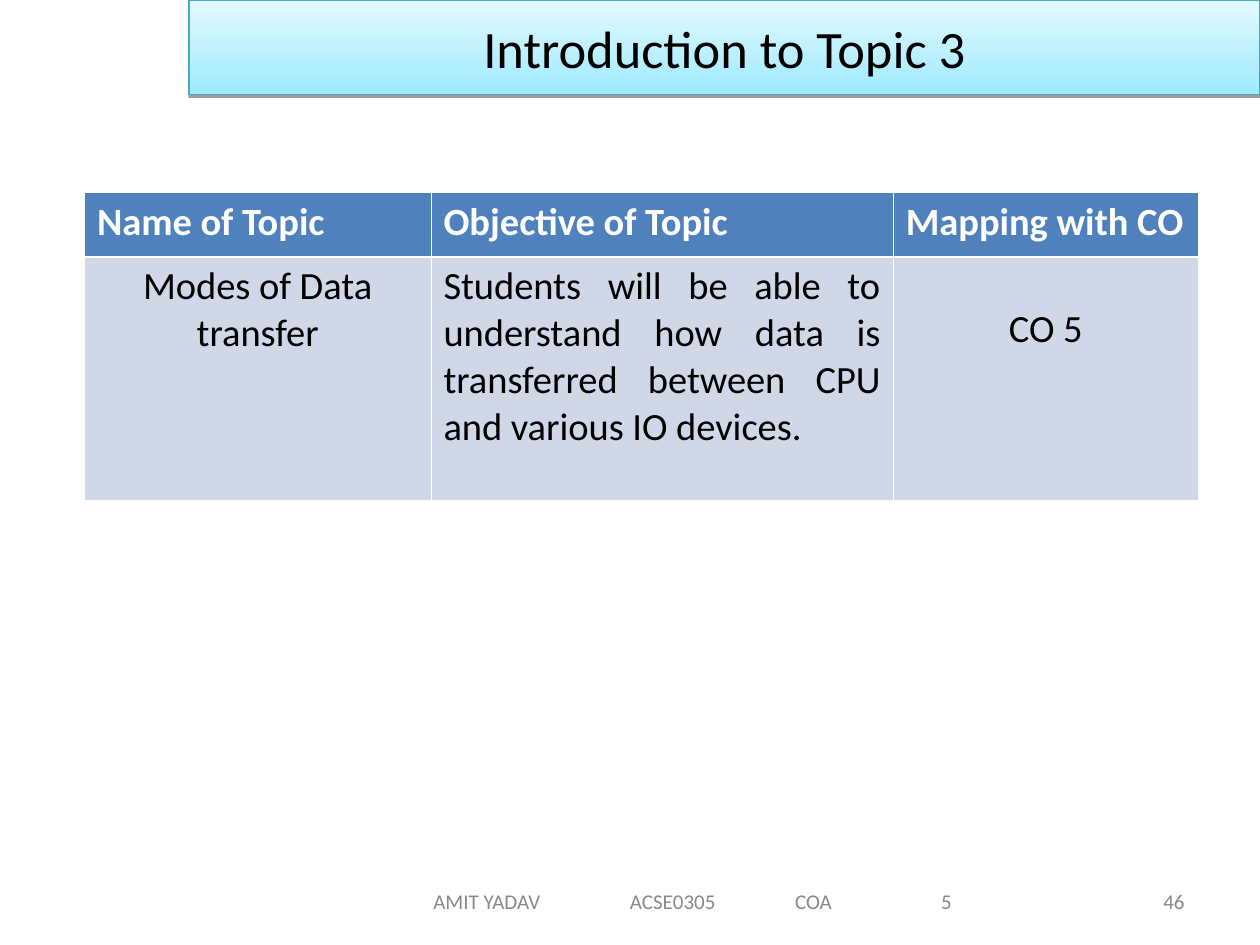
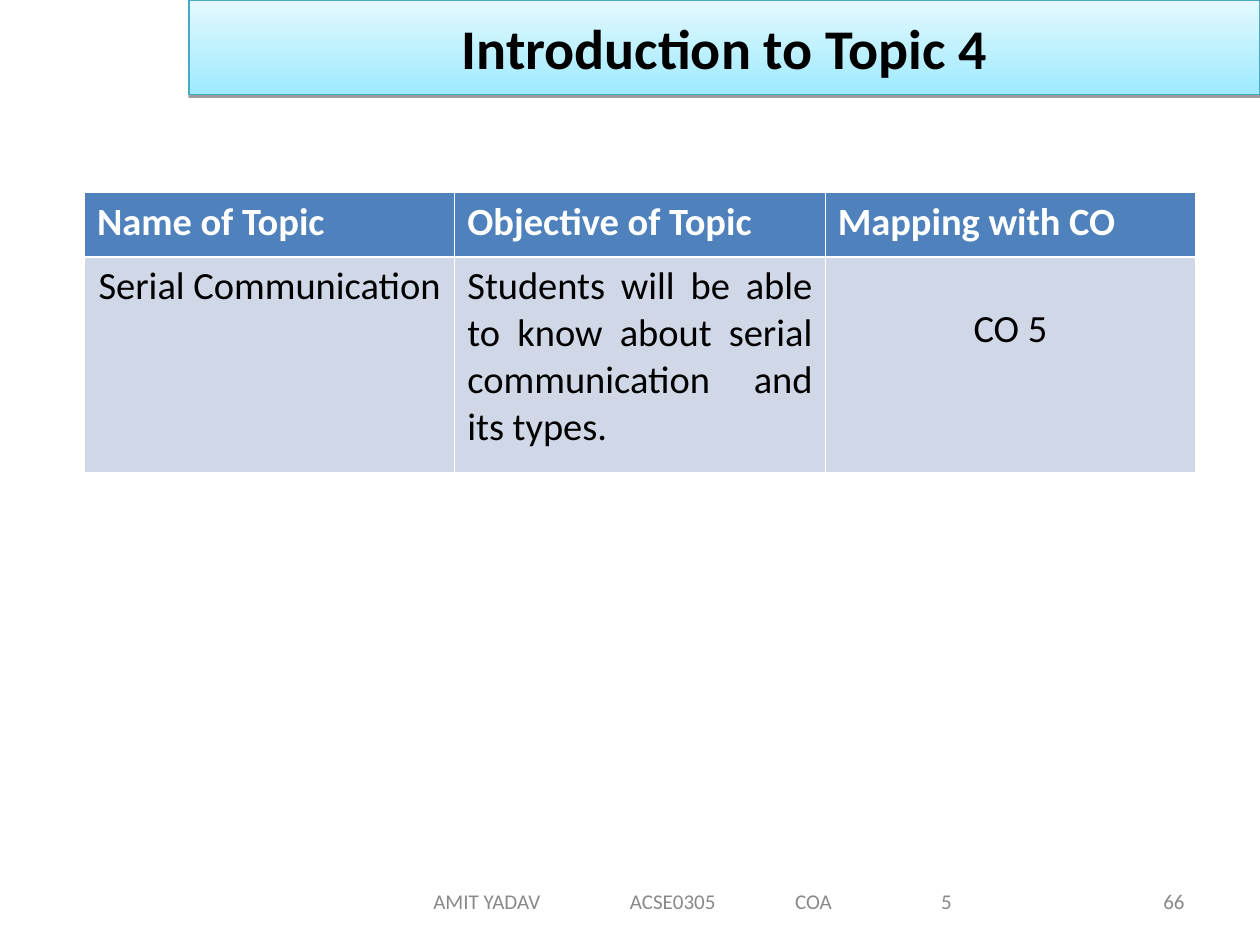
"""Build the two topic introduction slides of a course deck."""
from lxml import etree
from pptx import Presentation
from pptx import util as u
from pptx.dml.color import RGBColor
from pptx.enum import text as t
from pptx.oxml import ns

BLACK, WHITE, GREY = "000000", "FFFFFF", "898989"
HEADER_FILL, BODY_FILL = "4F81BD", "D0D8E8"
BAND_BOTTOM, BAND_TOP, BAND_LINE = "9EEAFF", "E4F9FF", "46AAC5"
LEFT, CENTER, RIGHT, JUSTIFY = (
    t.PP_ALIGN.LEFT, t.PP_ALIGN.CENTER, t.PP_ALIGN.RIGHT, t.PP_ALIGN.JUSTIFY)
HEADERS = ["Name of Topic", "Objective of Topic", "Mapping with CO"]
FOOTER = "AMIT YADAV\tACSE0305\tCOA\t5"
FOOTER_TABS = [1.56, 2.87, 4.03]
TOPICS = [
    dict(title="Introduction to Topic 3", size=30, bold=False, number="46",
         widths=[2.75, 3.67, 2.42], height=1.93,
         cells=["Modes of Data transfer",
                "Students will be able to understand how data is transferred "
                "between CPU and various IO devices.", "CO 5"]),
    dict(title="Introduction to Topic 4", size=32, bold=True, number="66",
         widths=[2.94] * 3, height=1.71,
         cells=["Serial Communication",
                "Students will be able to know about serial communication "
                "and its types.", "CO 5"]),
]


def color(value):
    return RGBColor.from_string(value)


def write(frame, text, size=22, hue=BLACK, bold=False, align=LEFT, tabs=()):
    frame.word_wrap = True
    para = frame.paragraphs[0]
    para.alignment = align
    if tabs:
        stops = etree.SubElement(para._p.get_or_add_pPr(), ns.qn("a:tabLst"))
        for place in tabs:
            etree.SubElement(stops, ns.qn("a:tab"), pos=str(u.Inches(place)), algn="l")
    span = para.add_run()
    span.text = text
    span.font.name = "Calibri"
    span.font.size = u.Pt(size)
    span.font.bold = bold
    span.font.color.rgb = color(hue)


deck = Presentation()
deck.slide_width, deck.slide_height = u.Inches(10), u.Inches(7.5)

for topic in TOPICS:
    page = deck.slides.add_slide(deck.slide_layouts[5])

    band = page.shapes.title
    band.left, band.top = u.Inches(1.5), u.Inches(0)
    band.width, band.height = u.Inches(8.5), u.Inches(0.75)
    band.fill.gradient()
    band.fill.gradient_angle = 90
    for stop, hue in zip(band.fill.gradient_stops, [BAND_BOTTOM, BAND_TOP]):
        stop.color.rgb = color(hue)
    band.line.color.rgb = color(BAND_LINE)
    band.line.width = u.Pt(0.75)
    effects = etree.SubElement(band._element.spPr, ns.qn("a:effectLst"))
    shadow = etree.SubElement(effects, ns.qn("a:outerShdw"), blurRad="0",
                              dist=str(u.Pt(1.6)), dir="5400000", rotWithShape="0")
    shade = etree.SubElement(shadow, ns.qn("a:srgbClr"), val=BLACK)
    etree.SubElement(shade, ns.qn("a:alpha"), val="38000")
    band.text_frame.auto_size = t.MSO_AUTO_SIZE.NONE
    band.text_frame.vertical_anchor = t.MSO_ANCHOR.MIDDLE
    write(band.text_frame, topic["title"], size=topic["size"],
          bold=topic["bold"], align=CENTER)

    footer = page.shapes.add_textbox(
        u.Inches(2.75), u.Inches(6.95), u.Inches(5.5), u.Inches(0.4))
    footer.text_frame.margin_left = u.Inches(0.69)
    write(footer.text_frame, FOOTER, size=12, hue=GREY, tabs=FOOTER_TABS)
    number = page.shapes.add_textbox(
        u.Inches(7.17), u.Inches(6.95), u.Inches(2.33), u.Inches(0.4))
    write(number.text_frame, topic["number"], size=12, hue=GREY, align=RIGHT)
    for box in (footer, number):
        box.text_frame.vertical_anchor = t.MSO_ANCHOR.MIDDLE

    heights = [0.51, topic["height"]]
    grid = page.shapes.add_table(
        2, 3, u.Inches(0.67), u.Inches(1.53),
        u.Inches(sum(topic["widths"])), u.Inches(sum(heights))).table
    for column, width in zip(grid.columns, topic["widths"]):
        column.width = u.Inches(width)
    for row, height in zip(grid.rows, heights):
        row.height = u.Inches(height)

    for row_index, texts in enumerate([HEADERS, topic["cells"]]):
        is_header = row_index == 0
        aligns = [LEFT] * 3 if is_header else [CENTER, JUSTIFY, CENTER]
        thick_side = "lnB" if is_header else "lnT"
        for column_index, (text, align) in enumerate(zip(texts, aligns)):
            cell = grid.cell(row_index, column_index)
            for side in ("lnL", "lnR", "lnT", "lnB"):
                weight = 1.47 if side == thick_side else 0.45
                border = etree.SubElement(cell._tc.get_or_add_tcPr(),
                                          ns.qn("a:" + side), w=str(u.Pt(weight)))
                paint = etree.SubElement(border, ns.qn("a:solidFill"))
                etree.SubElement(paint, ns.qn("a:srgbClr"), val=WHITE)
            cell.fill.solid()
            cell.fill.fore_color.rgb = color(HEADER_FILL if is_header else BODY_FILL)
            write(cell.text_frame, text, hue=WHITE if is_header else BLACK,
                  bold=is_header, align=align)
    grid.cell(1, 2).margin_top = u.Inches(0.39)

deck.save("out.pptx")
